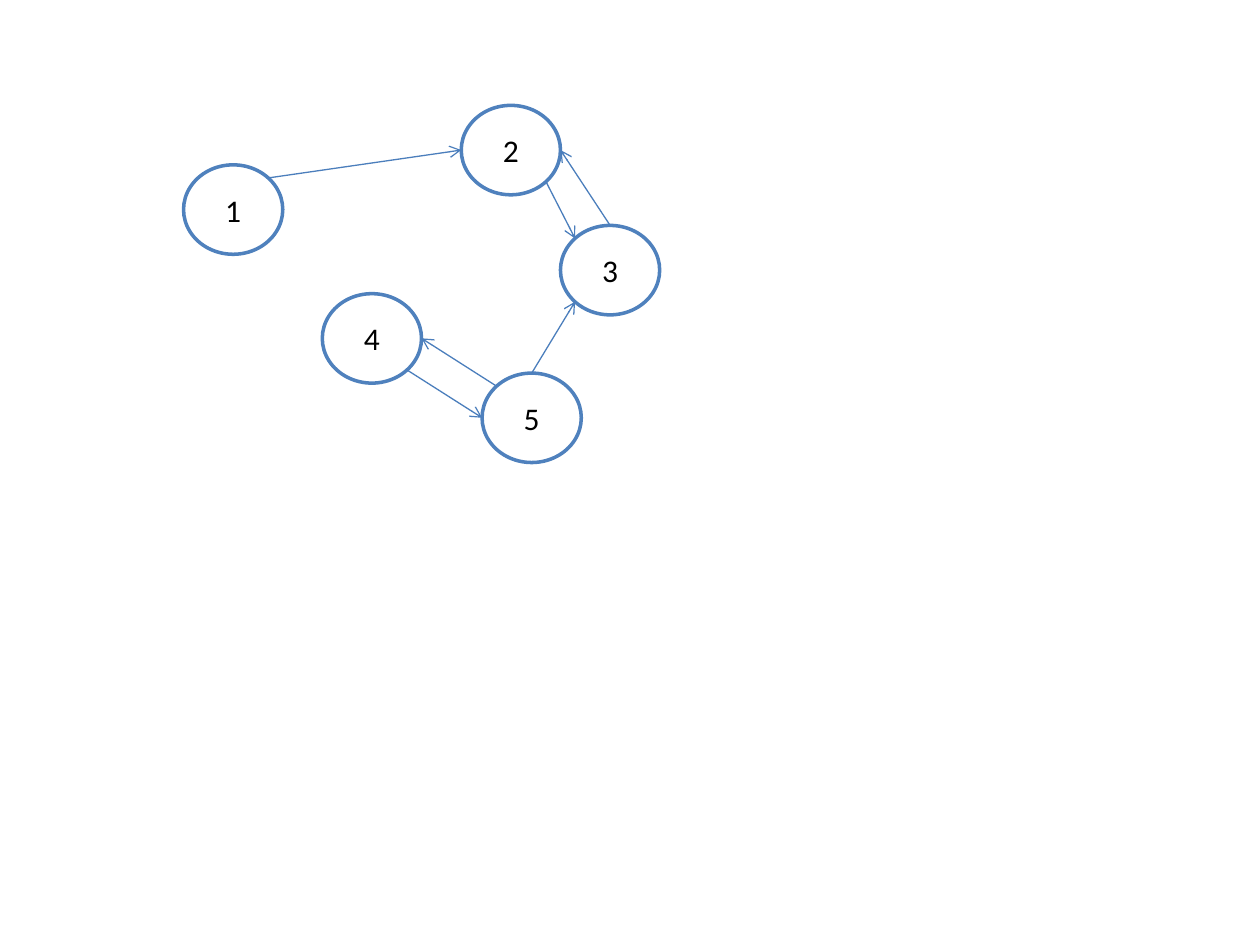
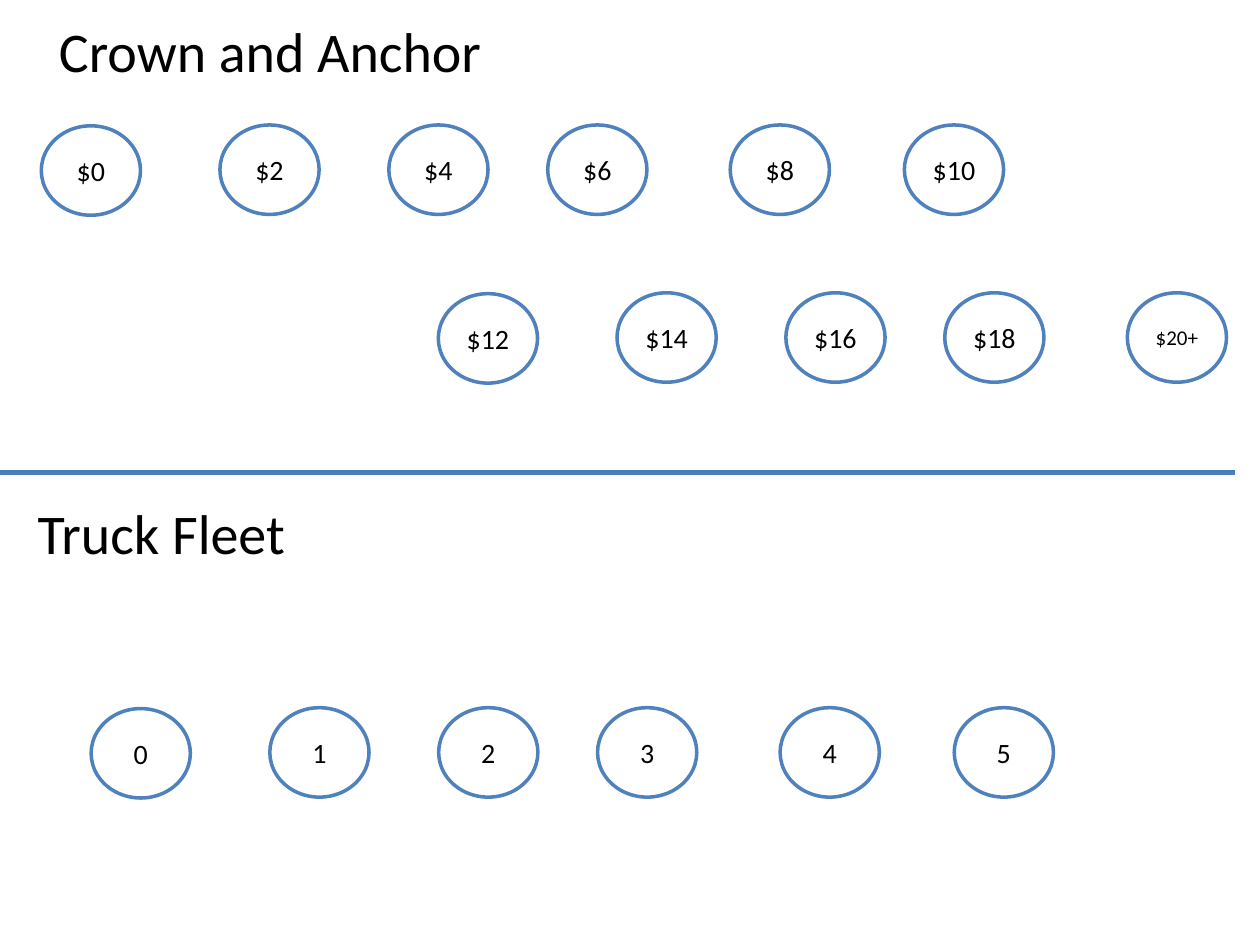
from dataclasses import dataclass
from math import cos, radians, sin

from pptx import Presentation
from pptx.dml.color import RGBColor
from pptx.enum import shapes, text
from pptx.oxml.ns import qn
from pptx.util import Pt
from lxml import etree


@dataclass(frozen=True)
class Theme:
    font: str = "Calibri"
    ink: RGBColor = RGBColor(0, 0, 0)
    paper: RGBColor = RGBColor(0xFF, 0xFF, 0xFF)
    rim: RGBColor = RGBColor(0x4F, 0x81, 0xBD)
    link: RGBColor = RGBColor(0x4B, 0x7E, 0xBC)
    title: int = 32
    graph: int = 18
    state: int = 16
    small: int = 12


THEME = Theme()
NODE_W, NODE_H = 56.7, 51.1

# Steps of a state row; its first node sits slightly lower
STEPS = [0, 102.1, 198.6, 289.4, 393.7, 493.2]
DROP = 0.5

# Connection sites of an ellipse, counter-clockwise from the right
SITES = ["right", "top right", "top", "top left",
         "left", "bottom left", "bottom", "bottom right"]


def style(frame, size):
    for par in frame.paragraphs:
        for run in par.runs:
            run.font.name = THEME.font
            run.font.size = Pt(size)
            run.font.color.rgb = THEME.ink


def add_node(tree, left, top, label, size):
    node = tree.add_shape(shapes.MSO_SHAPE.OVAL, Pt(left), Pt(top),
                          Pt(NODE_W), Pt(NODE_H))
    node.shadow.inherit = False
    node.fill.solid()
    node.fill.fore_color.rgb = THEME.paper
    node.line.color.rgb = THEME.rim
    node.line.width = Pt(2)
    frame = node.text_frame
    frame.text = label
    frame.vertical_anchor = text.MSO_ANCHOR.MIDDLE
    frame.paragraphs[0].alignment = text.PP_ALIGN.CENTER
    style(frame, size)


def add_line(tree, start, end, width, arrow=False):
    line = tree.add_connector(shapes.MSO_CONNECTOR.STRAIGHT,
                              *(Pt(v) for v in (*start, *end)))
    line.line.color.rgb = THEME.link
    line.line.width = Pt(width)
    props = line._element.spPr
    if arrow:
        etree.SubElement(props.find(qn("a:ln")), qn("a:tailEnd"), type="arrow")
    etree.SubElement(props, qn("a:effectLst"))


def add_title(tree, left, top, width, label):
    box = tree.add_textbox(Pt(left), Pt(top), Pt(width), Pt(46))
    frame = box.text_frame
    frame.text = label
    frame.word_wrap = False
    frame.auto_size = text.MSO_AUTO_SIZE.SHAPE_TO_FIT_TEXT
    style(frame, THEME.title)


def find_site(corner, side):
    """Point where a link meets the rim of a node."""
    turn = radians(45 * SITES.index(side))
    return (corner[0] + NODE_W / 2 * (1 + cos(turn)),
            corner[1] + NODE_H / 2 * (1 - sin(turn)))


def draw_graph(tree, left, top):
    """Directed graph of five nodes."""
    spots = {"1": (0, 34), "2": (158.7, 0), "4": (79.3, 107.6),
             "3": (215.4, 68.6), "5": (170.6, 153)}
    links = [("1", "top right", "2", "left"),
             ("2", "bottom right", "3", "top left"),
             ("3", "top", "2", "right"),
             ("5", "top", "3", "bottom left"),
             ("5", "top left", "4", "right"),
             ("4", "bottom right", "5", "left")]
    nodes = {name: (left + x, top + y) for name, (x, y) in spots.items()}
    for name, corner in nodes.items():
        add_node(tree, *corner, name, THEME.graph)
    for tail, exit, head, entry in links:
        add_line(tree, find_site(nodes[tail], exit),
                 find_site(nodes[head], entry), 0.75, arrow=True)


def draw_row(tree, left, top, labels):
    """One row of states."""
    for i, (step, label) in enumerate(zip(STEPS, labels)):
        size = THEME.small if len(label) > 3 else THEME.state
        add_node(tree, left + step, top + (0 if i else DROP), label, size)


def draw_game(tree, left, top):
    """Money states in two rows."""
    cash = [f"${n}" for n in range(0, 20, 2)] + ["$20+"]
    group = tree.add_group_shape().shapes
    draw_row(group, left + 23.6, top + 71.4, cash[:6])
    draw_row(group, left + 250.5, top + 167.3, cash[6:])
    add_title(tree, left + 26.6, top + 5.8, 258.5, "Crown and Anchor")


def draw_fleet(tree, left, top):
    """Truck count states in one row."""
    group = tree.add_group_shape().shapes
    draw_row(group, left + 52.1, top + 134.4, [str(n) for n in range(6)])
    add_title(tree, left + 14.4, top + 11.5, 157, "Truck Fleet")


def main():
    deck = Presentation()
    deck.slide_width, deck.slide_height = Pt(720), Pt(540)
    blank = deck.slide_layouts[6]

    # Graph slide
    draw_graph(deck.slides.add_slide(blank).shapes, 104.9, 60.2)

    # State slide: game above the divider, fleet below
    tree = deck.slides.add_slide(blank).shapes
    half = 270
    draw_game(tree, 0, 0)
    add_line(tree, (0, half), (705.6, half), 3)
    draw_fleet(tree, 0, half)

    deck.save("out.pptx")


if __name__ == "__main__":
    main()
